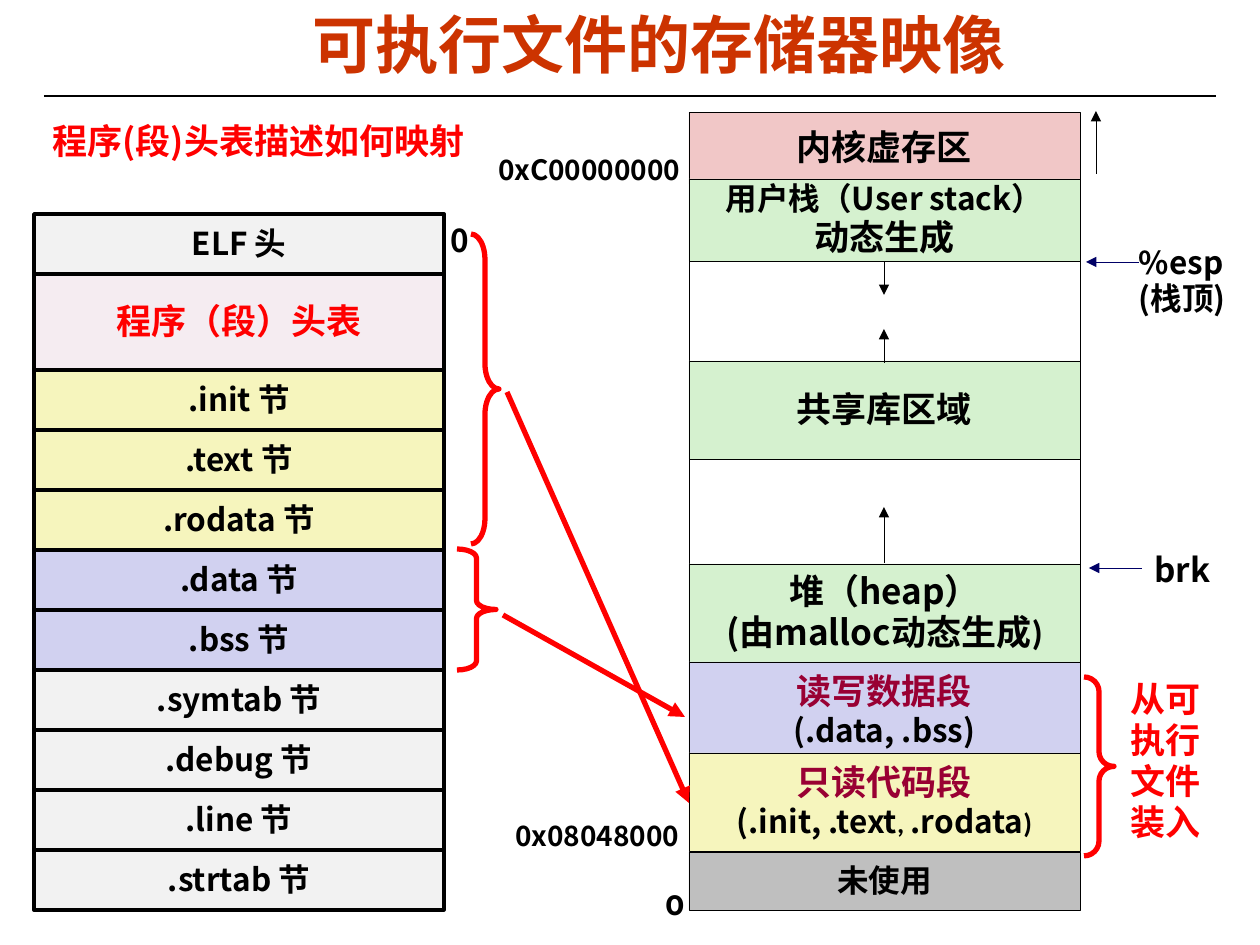
from dataclasses import dataclass
from typing import NamedTuple

from lxml.etree import SubElement
from pptx import Presentation
from pptx.dml.color import RGBColor
from pptx.enum.shapes import MSO_CONNECTOR, MSO_SHAPE
from pptx.enum.text import MSO_ANCHOR, MSO_AUTO_SIZE, PP_ALIGN
from pptx.oxml.ns import qn
from pptx.util import Emu, Pt

PX_PER_INCH = 126


def px(length):
    return Emu(round(length * 914400 / PX_PER_INCH))


@dataclass(frozen=True)
class Theme:
    black: str = "000000"
    white: str = "FFFFFF"
    title: str = "CC3300"
    red: str = "FF0000"
    navy: str = "000066"
    crimson: str = "990033"
    kernel: str = "F1C7C7"
    green: str = "D5F1CF"
    gray: str = "F2F2F2"
    unused: str = "BFBFBF"
    plum: str = "993366"
    code: str = "F6F5BD"
    data: str = "D1D1F0"
    body: str = "Noto Sans CJK SC"
    plain: str = "Calibri"
    digit: str = "Montserrat"
    heading: str = "Arial"
    title_size: int = 36
    large: int = 20
    brk: int = 19
    medium: int = 18
    small: int = 16
    hairline: float = 0.25
    thin: float = 0.75
    section: float = 2
    thick: float = 3


THEME = Theme()


class Run(NamedTuple):
    text: str
    size: int = THEME.medium
    color: str = THEME.black
    face: str = THEME.body


class SlideBuilder:
    def __init__(self, theme, slide):
        self.theme = theme
        self.slide = slide

    def style(self, font, run):
        font.size = Pt(run.size)
        font.bold = True
        font.name = run.face
        font.color.rgb = RGBColor.from_string(run.color)

    def fill_text(self, frame, lines, align, spacing=None):
        for index, runs in enumerate(lines):
            paragraph = frame.add_paragraph() if index else frame.paragraphs[0]
            paragraph.alignment = align
            if spacing:
                paragraph.line_spacing = spacing
            if len({run[1:] for run in runs}) == 1:
                self.style(paragraph.font, runs[0])
            for run in runs:
                part = paragraph.add_run()
                part.text = run.text
                if len(runs) > 1:
                    self.style(part.font, run)

    def title(self, bounds, run):
        heading = self.slide.shapes.title
        heading.left, heading.top, heading.width, heading.height = map(px, bounds)
        heading.text_frame.vertical_anchor = MSO_ANCHOR.MIDDLE
        self.fill_text(heading.text_frame, [[run]], PP_ALIGN.CENTER)

    def block(self, bounds, fill, lines=(), width=THEME.hairline, alpha=None):
        block = self.slide.shapes.add_shape(MSO_SHAPE.RECTANGLE, *map(px, bounds))
        block.shadow.inherit = False
        block.fill.solid()
        block.fill.fore_color.rgb = RGBColor.from_string(fill)
        if alpha:
            color = block.element.spPr.find(f"{qn('a:solidFill')}/{qn('a:srgbClr')}")
            SubElement(color, qn("a:alpha"), val=str(alpha * 1000))
        block.line.color.rgb = RGBColor.from_string(self.theme.black)
        block.line.width = Pt(width)
        frame = block.text_frame
        frame.word_wrap = False
        frame.vertical_anchor = MSO_ANCHOR.MIDDLE
        self.fill_text(frame, lines, PP_ALIGN.CENTER, 0.98)

    def label(self, bounds, lines, wrap=False, spacing=0.94, inset=None):
        frame = self.slide.shapes.add_textbox(*map(px, bounds)).text_frame
        frame.word_wrap = wrap
        frame.auto_size = MSO_AUTO_SIZE.SHAPE_TO_FIT_TEXT
        if inset is not None:
            frame.margin_left = frame.margin_right = px(inset)
        self.fill_text(frame, lines, PP_ALIGN.LEFT, spacing)

    def line(self, start, end, color, width=THEME.hairline, arrow=True):
        line = self.slide.shapes.add_connector(
            MSO_CONNECTOR.STRAIGHT, *map(px, start + end))
        line.line.color.rgb = RGBColor.from_string(color)
        line.line.width = Pt(width)
        properties = line.element.spPr
        if arrow:
            SubElement(properties.find(qn("a:ln")), qn("a:tailEnd"), type="triangle")
        SubElement(properties, qn("a:effectLst"))

    def brace(self, bounds, curve):
        brace = self.slide.shapes.add_shape(MSO_SHAPE.RIGHT_BRACE, *map(px, bounds))
        brace.shadow.inherit = False
        brace.adjustments[0] = curve
        brace.fill.background()
        brace.line.color.rgb = RGBColor.from_string(self.theme.red)
        brace.line.width = Pt(self.theme.thick)


def draw_elf_file(page):
    t = page.theme
    page.label((40, 113, 450, 54),
               [[Run("程序(段)头表描述如何映射", t.large, t.red)]], wrap=True, spacing=1)
    sections = [
        (Run("ELF 头"), t.gray, 60, None),
        (Run("程序（段）头表", t.large, t.red), t.plum, 96, 9),
        *((Run(f".{name} 节"), fill, 60, None)
          for fill, names in ((t.code, "init text rodata"), (t.data, "data bss"),
                              (t.gray, "symtab debug line strtab"))
          for name in names.split()),
    ]
    top = 214
    for caption, fill, height, alpha in sections:
        page.block((34, top, 410, height), fill, [[caption]], t.section, alpha)
        top += height
    page.label((438, 217, 44, 50), [[Run("0")]], wrap=True, spacing=0.98)


def draw_memory(page):
    t = page.theme
    regions = [
        (112, 72, t.kernel, [[Run("内核虚存区", t.large)]]),
        (261, 100, t.white, []),
        (179, 82, t.green, [[Run("用户栈（User stack）")],
                            [Run("动态生成", t.large, face=t.plain)]]),
        (361, 98, t.green, [[Run("共享库区域", t.large)]]),
        (459, 106, t.white, []),
        (564, 98, t.green, [[Run("堆（heap）", t.large)],
                            [Run("(由malloc动态生成", t.large),
                             Run(")", t.large, face=t.plain)]]),
        (852, 58, t.unused, [[Run("未使用")]]),
        (662, 98, t.data, [[Run("读写数据段", t.large, t.crimson)],
                           [Run("(.data, .bss)")]]),
        (753, 98, t.code, [[Run("只读代码段", t.large, t.crimson)],
                           [Run("(.init, .text"), Run(", ", t.small, face=t.plain),
                            Run(".rodata"), Run(")", t.small, face=t.plain)]]),
    ]
    for top, height, fill, lines in regions:
        page.block((689, top, 391, height), fill, lines)
    for start, end in ((262, 295), (363, 329), (563, 507)):
        page.line((884, start), (884, end), t.black)
    page.line((1096, 174), (1096, 111), t.black)
    page.line((1139, 262), (1086, 262), t.navy)
    page.line((1142, 568), (1089, 568), t.navy)
    page.label((1139, 239, 101, 86), [[Run("%esp")], [Run("(栈顶)")]],
               wrap=True, spacing=0.96, inset=0)
    page.label((1142, 546, 81, 50), [[Run("brk", t.brk)]])
    page.label((486, 149, 215, 44), [[Run("0xC00000000", t.small)]])
    page.label((503, 815, 197, 44), [[Run("0x08048000", t.small)]])
    page.label((653, 883, 44, 45), [[Run("0", t.small, face=t.digit)]], spacing=0.98)


def draw_mapping(page):
    t = page.theme
    page.brace((471, 234, 28, 310), 0.91)
    page.brace((457, 549, 39, 121), 0.23)
    page.brace((1084, 677, 30, 179), 0.49)
    page.line((507, 392), (689, 803), t.red, t.thick)
    page.line((503, 615), (685, 717), t.red, t.thick)
    page.label((1118, 673, 103, 178),
               [[Run("从可执行文件装入", t.large, t.red, t.plain)]],
               wrap=True, spacing=0.98)


def main():
    deck = Presentation()
    deck.slide_width, deck.slide_height = px(1260), px(945)
    page = SlideBuilder(THEME, deck.slides.add_slide(deck.slide_layouts[5]))
    page.title((59, 0, 1201, 86),
               Run("可执行文件的存储器映像", THEME.title_size, THEME.title, THEME.heading))
    page.line((44, 96), (1216, 96), THEME.black, THEME.thin, arrow=False)
    draw_elf_file(page)
    draw_memory(page)
    draw_mapping(page)
    deck.save("out.pptx")


if __name__ == "__main__":
    main()
